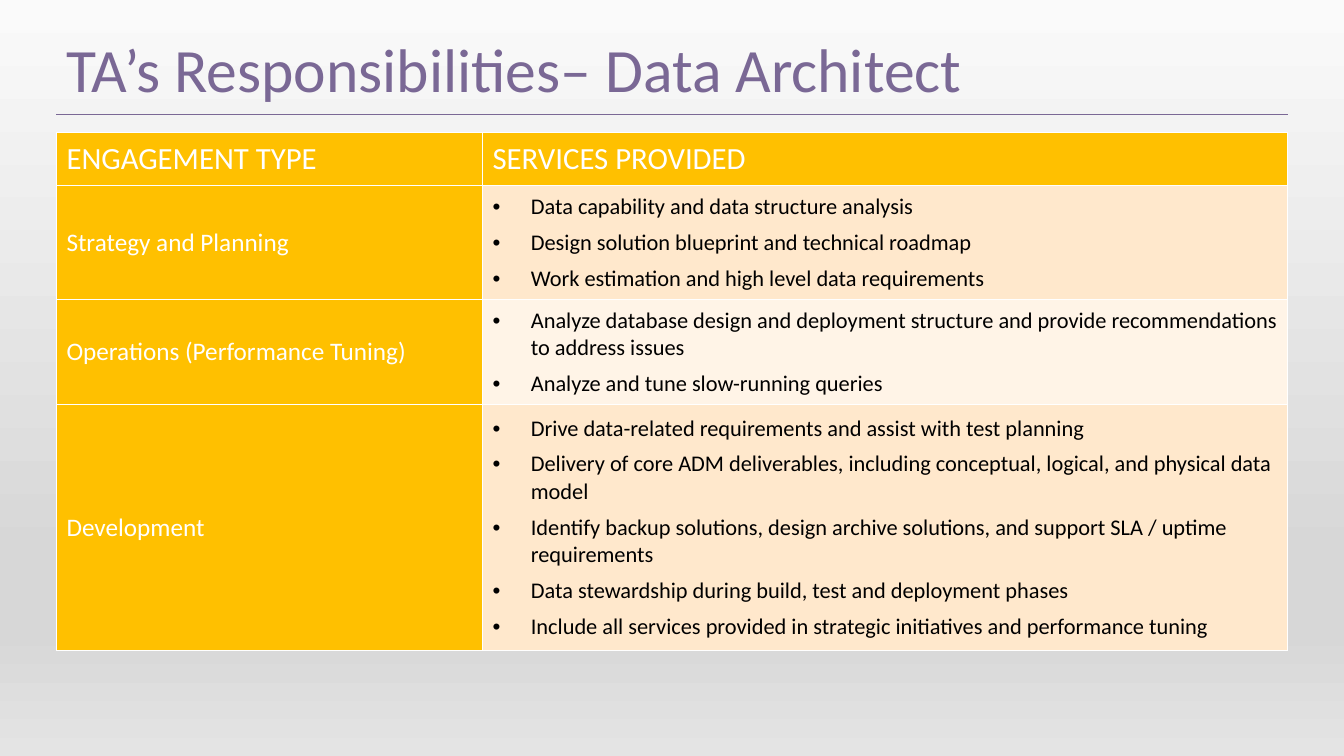
"""Build the slide on a data architect's responsibilities by engagement type."""
from dataclasses import dataclass

from lxml import etree
from pptx import Presentation
from pptx.dml.color import RGBColor
from pptx.enum.shapes import MSO_CONNECTOR
from pptx.enum.text import MSO_ANCHOR
from pptx.oxml.ns import qn
from pptx.slide import Slide
from pptx.table import _Cell
from pptx.text.text import TextFrame, _Paragraph
from pptx.util import Inches, Length, Pt

STRAIGHT = MSO_CONNECTOR.STRAIGHT
MIDDLE = MSO_ANCHOR.MIDDLE
SLIDE_WIDTH, SLIDE_HEIGHT = 13.33, 7.5
LEFT, WIDTH = 0.042, 0.916
TITLE_TOP, TITLE_HEIGHT, RULE_TOP, TABLE_TOP = 0.037, 0.119, 0.151, 0.175
COLUMN_SHARES = (0.317, 0.599)
HEADER_SHARE = 0.0707
BULLET_INDENT = 0.38


@dataclass(frozen=True)
class Theme:
    font: str = "Calibri"
    accent: str = "7A6895"
    gold: str = "FFC000"
    bands: tuple[str, str] = ("FFE8CC", "FFF4E7")
    white: str = "FFFFFF"
    black: str = "000000"
    backdrop: tuple[tuple[int, str], ...] = (
        (0, "FAFAFA"), (74, "D7D7D7"), (83, "D7D7D7"), (100, "E4E4E4"))
    title_size: float = 44
    header_size: float = 22
    label_size: float = 18
    body_size: float = 16
    rule_width: float = 0.5
    border_width: float = 1


@dataclass(frozen=True)
class Engagement:
    label: str
    services: tuple[str, ...]
    height: float


THEME = Theme()
HEADINGS = ("ENGAGEMENT TYPE", "SERVICES PROVIDED")
ENGAGEMENTS = (
    Engagement("Strategy and Planning", (
        "Data capability and data structure analysis",
        "Design solution blueprint and technical roadmap",
        "Work estimation and high level data requirements",
    ), 0.1507),
    Engagement("Operations (Performance Tuning)", (
        "Analyze database design and deployment structure and provide "
        "recommendations to address issues",
        "Analyze and tune slow-running queries",
    ), 0.1387),
    Engagement("Development", (
        "Drive data-related requirements and assist with test planning",
        "Delivery of core ADM deliverables, including conceptual, logical, "
        "and physical data model",
        "Identify backup solutions, design archive solutions, and support "
        "SLA / uptime requirements",
        "Data stewardship during build, test and deployment phases",
        "Include all services provided in strategic initiatives and performance tuning",
    ), 0.3253),
)


def across(share: float) -> Length:
    return Inches(SLIDE_WIDTH * share)


def down(share: float) -> Length:
    return Inches(SLIDE_HEIGHT * share)


def add_bullet(para: _Paragraph) -> None:
    para.space_before = Pt(6)
    properties = para._p.get_or_add_pPr()
    properties.set("marL", str(Inches(BULLET_INDENT)))
    properties.set("indent", str(-Inches(BULLET_INDENT)))
    etree.SubElement(properties, qn("a:buFont"), typeface="Arial")
    etree.SubElement(properties, qn("a:buChar"), char="•")


def write_text(frame: TextFrame, *lines: str, size: float, color: str,
               bulleted: bool = False, spacing: float | None = None) -> None:
    for index, line in enumerate(lines):
        para = frame.add_paragraph() if index else frame.paragraphs[0]
        if spacing:
            para.line_spacing = spacing
        if bulleted:
            add_bullet(para)
        span = para.add_run()
        span.text = line
        span.font.name = THEME.font
        span.font.size = Pt(size)
        span.font.bold = False
        span.font.color.rgb = RGBColor.from_string(color)


def style_cell(cell: _Cell, fill: str) -> None:
    cell.vertical_anchor = MIDDLE
    properties = cell._tc.get_or_add_tcPr()
    for side in ("a:lnL", "a:lnR", "a:lnT", "a:lnB"):
        border = etree.SubElement(properties, qn(side), w=str(Pt(THEME.border_width)))
        solid = etree.SubElement(border, qn("a:solidFill"))
        etree.SubElement(solid, qn("a:srgbClr"), val=THEME.white)
    cell.fill.solid()
    cell.fill.fore_color.rgb = RGBColor.from_string(fill)


def paint_backdrop(page: Slide) -> None:
    fill = page.background.fill
    fill.gradient()
    fill.gradient_angle = 270
    stops = next(page._element.iter(qn("a:gsLst")))
    for stop in list(stops):
        stops.remove(stop)
    for percent, color in THEME.backdrop:
        stop = etree.SubElement(stops, qn("a:gs"), pos=str(percent * 1000))
        etree.SubElement(stop, qn("a:srgbClr"), val=color)


def add_title(page: Slide, text: str) -> None:
    box = page.shapes.add_textbox(
        across(LEFT), down(TITLE_TOP), across(WIDTH), down(TITLE_HEIGHT))
    box.text_frame.word_wrap = True
    box.text_frame.vertical_anchor = MIDDLE
    write_text(box.text_frame, text, size=THEME.title_size, color=THEME.accent,
               spacing=0.9)


def add_rule(page: Slide) -> None:
    rule = page.shapes.add_connector(
        STRAIGHT, across(LEFT), down(RULE_TOP), across(LEFT + WIDTH), down(RULE_TOP))
    rule.line.color.rgb = RGBColor.from_string(THEME.accent)
    rule.line.width = Pt(THEME.rule_width)
    etree.SubElement(rule._element.spPr, qn("a:effectLst"))


def add_services_table(page: Slide) -> None:
    heights = (HEADER_SHARE, *(engagement.height for engagement in ENGAGEMENTS))
    table = page.shapes.add_table(
        len(heights), len(COLUMN_SHARES), across(LEFT), down(TABLE_TOP),
        across(WIDTH), down(sum(heights))).table
    table.horz_banding = False
    for column, share in zip(table.columns, COLUMN_SHARES):
        column.width = across(share)
    for row, share in zip(table.rows, heights):
        row.height = down(share)
    for column, heading in enumerate(HEADINGS):
        cell = table.cell(0, column)
        style_cell(cell, THEME.gold)
        write_text(cell.text_frame, heading, size=THEME.header_size, color=THEME.white)
    for index, engagement in enumerate(ENGAGEMENTS):
        label, services = table.cell(index + 1, 0), table.cell(index + 1, 1)
        style_cell(label, THEME.gold)
        write_text(label.text_frame, engagement.label,
                   size=THEME.label_size, color=THEME.white)
        style_cell(services, THEME.bands[index % 2])
        write_text(services.text_frame, *engagement.services,
                   size=THEME.body_size, color=THEME.black, bulleted=True)


def main() -> None:
    deck = Presentation()
    deck.slide_width, deck.slide_height = Inches(SLIDE_WIDTH), Inches(SLIDE_HEIGHT)
    page = deck.slides.add_slide(deck.slide_layouts[6])
    paint_backdrop(page)
    add_rule(page)
    add_title(page, "TA’s Responsibilities– Data Architect")
    add_services_table(page)
    deck.save("out.pptx")


if __name__ == "__main__":
    main()
